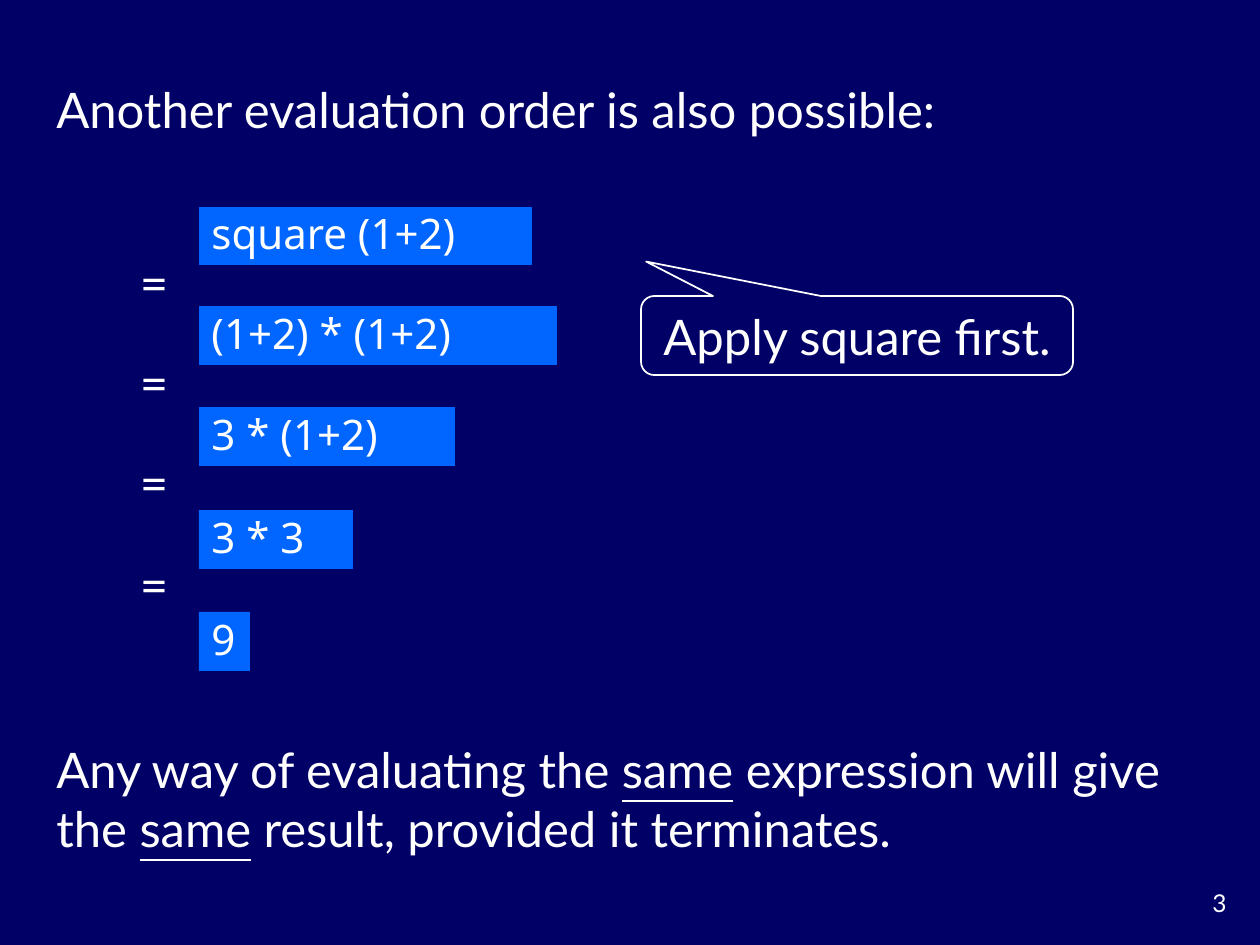
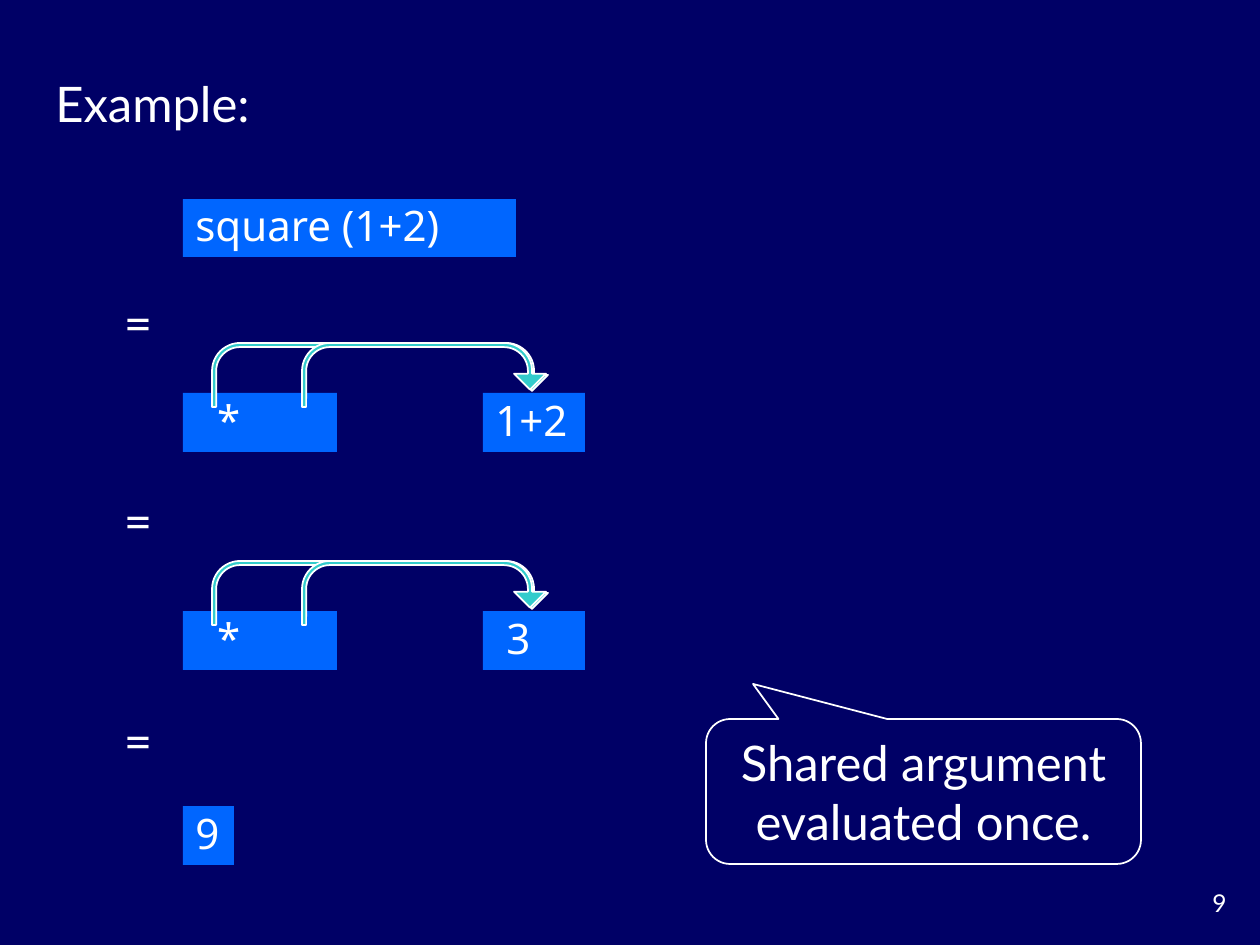
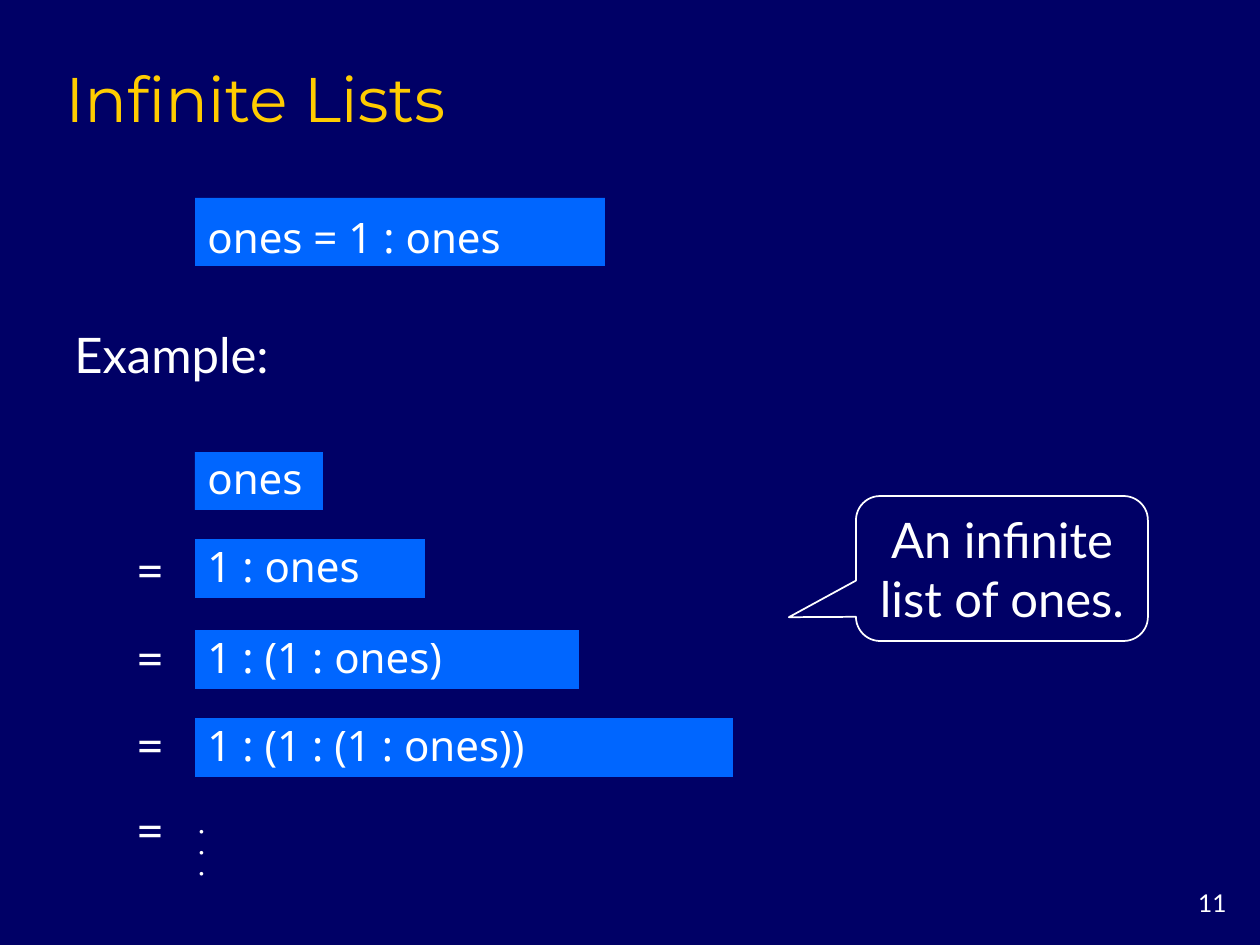
from pptx import Presentation
from pptx.dml.color import RGBColor
from pptx.enum.shapes import MSO_SHAPE
from pptx.enum.text import MSO_ANCHOR, PP_ALIGN
from pptx.util import Emu, Pt

RECT = MSO_SHAPE.RECTANGLE
BUBBLE = MSO_SHAPE.ROUNDED_RECTANGULAR_CALLOUT
UTURN = MSO_SHAPE.U_TURN_ARROW
TOP, MIDDLE = MSO_ANCHOR.TOP, MSO_ANCHOR.MIDDLE
LEFT, CENTER, RIGHT = PP_ALIGN.LEFT, PP_ALIGN.CENTER, PP_ALIGN.RIGHT

NAVY, BLUE, TEAL = "000066", "0066FF", "33CCCC"
WHITE, GOLD = "FFFFFF", "FFCC00"
BODY, CODE, HEAD = "Lato", "Noto Sans", "Montserrat"
CELL = 25.6  # px for one character of code
BAR = 59     # px height of a code bar


def px(count):
    return Emu(round(count * 914400 / 126))


def color(text):
    return RGBColor.from_string(text)


def write(shape, text, size=28, font=BODY, ink=WHITE, align=LEFT,
          anchor=MIDDLE, spacing=None):
    """Fill a shape with one paragraph; words between underscores are underlined."""
    frame = shape.text_frame
    frame.word_wrap = True
    frame.vertical_anchor = anchor
    para = frame.paragraphs[0]
    para.alignment = align
    if spacing:
        para.line_spacing = spacing
    for index, part in enumerate(text.split("_")):
        run = para.add_run()
        run.text = part
        run.font.size = Pt(size)
        run.font.name = font
        run.font.color.rgb = color(ink)
        if index % 2:
            run.font.underline = True


def label(slide, box, text, **style):
    shape = slide.shapes.add_textbox(*map(px, box))
    write(shape, text, **style)


def draw(slide, kind, box, fill=None, line=None, adjust=()):
    shape = slide.shapes.add_shape(kind, *map(px, box))
    shape.shadow.inherit = False
    if fill:
        shape.fill.solid()
        shape.fill.fore_color.rgb = color(fill)
    else:
        shape.fill.background()
    if line:
        shape.line.color.rgb = color(line)
        shape.line.width = Pt(1)
    else:
        shape.line.fill.background()
    for index, value in enumerate(adjust):
        shape.adjustments[index] = value
    return shape


def code(slide, x, y, text, cells=None, height=BAR, spacing=0.9):
    """Draw a bar of code, as wide as its characters plus one cell."""
    width = round(CELL * ((cells or len(text)) + 1))
    bar = draw(slide, RECT, (x, y, width, height), BLUE)
    write(bar, text, 24, CODE, spacing=spacing)


def equals(slide, x, y):
    """Draw the sign to the left of a column of bars at x."""
    label(slide, (x - 75, y, 60, 72), "=", align=CENTER)


def bubble(slide, box, text, tip):
    shape = draw(slide, BUBBLE, box, line=WHITE, adjust=(*tip, 0.167))
    write(shape, text, align=CENTER)


def shared(slide, x, y, value):
    """Draw a product whose two factors point to one shared value."""
    code(slide, x, y, "  *", cells=5)
    code(slide, x + 300, y, value, cells=3)
    for left, width, drop in ((29, 336, 0.75), (119, 244, 0.73)):
        draw(slide, UTURN, (x + left, y - 50, width, 64), TEAL, WHITE,
             (0.065, 0.25, 0.25, 0.438, drop))


def dots(slide, x, y):
    for index in range(3):
        label(slide, (x, y + 21 * index, 37, 42), "∙", size=14, align=CENTER)


def start(deck, number):
    slide = deck.slides.add_slide(deck.slide_layouts[6])
    label(slide, (1155, 882, 84, 42), str(number), size=14, align=RIGHT,
          anchor=TOP)
    return slide


def order(deck):
    slide = start(deck, 3)
    label(slide, (44, 73, 1171, 72), "Another evaluation order is also possible:")
    x = 199
    code(slide, x, 207, "square (1+2)", height=58)
    steps = ((306, 246, "(1+2) * (1+2)"), (407, 346, "3 * (1+2)"),
             (510, 446, "3 * 3"), (612, 548, "9"))
    for y, sign, text in steps:
        code(slide, x, y, text)
        equals(slide, x, sign)
    label(slide, (44, 733, 1171, 131),
          "Any way of evaluating the _same_ expression will give "
          "the _same_ result, provided it terminates.")
    bubble(slide, (641, 296, 432, 79), "Apply square first.", (-0.488, -0.936))


def sharing(deck):
    slide = start(deck, 9)
    label(slide, (43, 67, 227, 72), "Example:")
    x = 183
    code(slide, x, 199, "square (1+2)", height=58)
    for y, value in ((393, "1+2"), (611, " 3")):
        shared(slide, x, y, value)
    code(slide, x, 806, "9")
    for sign in (286, 484, 704):
        equals(slide, x, sign)
    bubble(slide, (706, 719, 435, 145), "Shared argument evaluated once.",
           (-0.392, -0.742))


def infinite(deck):
    slide = start(deck, 11)
    label(slide, (53, 53, 1173, 94), "Infinite Lists", size=36, font=HEAD,
          ink=GOLD, anchor=TOP)
    x = 195
    code(slide, x, 198, "ones = 1 : ones", height=68, spacing=1.2)
    label(slide, (62, 318, 1164, 72), "Example:")
    code(slide, x, 452, "ones", height=58)
    steps = ((539, 533, "1 : ones"), (630, 621, "1 : (1 : ones)"),
             (718, 708, "1 : (1 : (1 : ones))"))
    for y, sign, text in steps:
        code(slide, x, y, text)
        equals(slide, x, sign)
    equals(slide, x, 793)
    dots(slide, x - 12, 809)
    bubble(slide, (856, 496, 292, 145), "An infinite list of ones.",
           (-0.73, 0.336))


def main():
    deck = Presentation()
    deck.slide_width, deck.slide_height = px(1260), px(945)
    back = deck.slide_master.background.fill
    back.solid()
    back.fore_color.rgb = color(NAVY)
    for build in (order, sharing, infinite):
        build(deck)
    deck.save("out.pptx")


if __name__ == "__main__":
    main()
